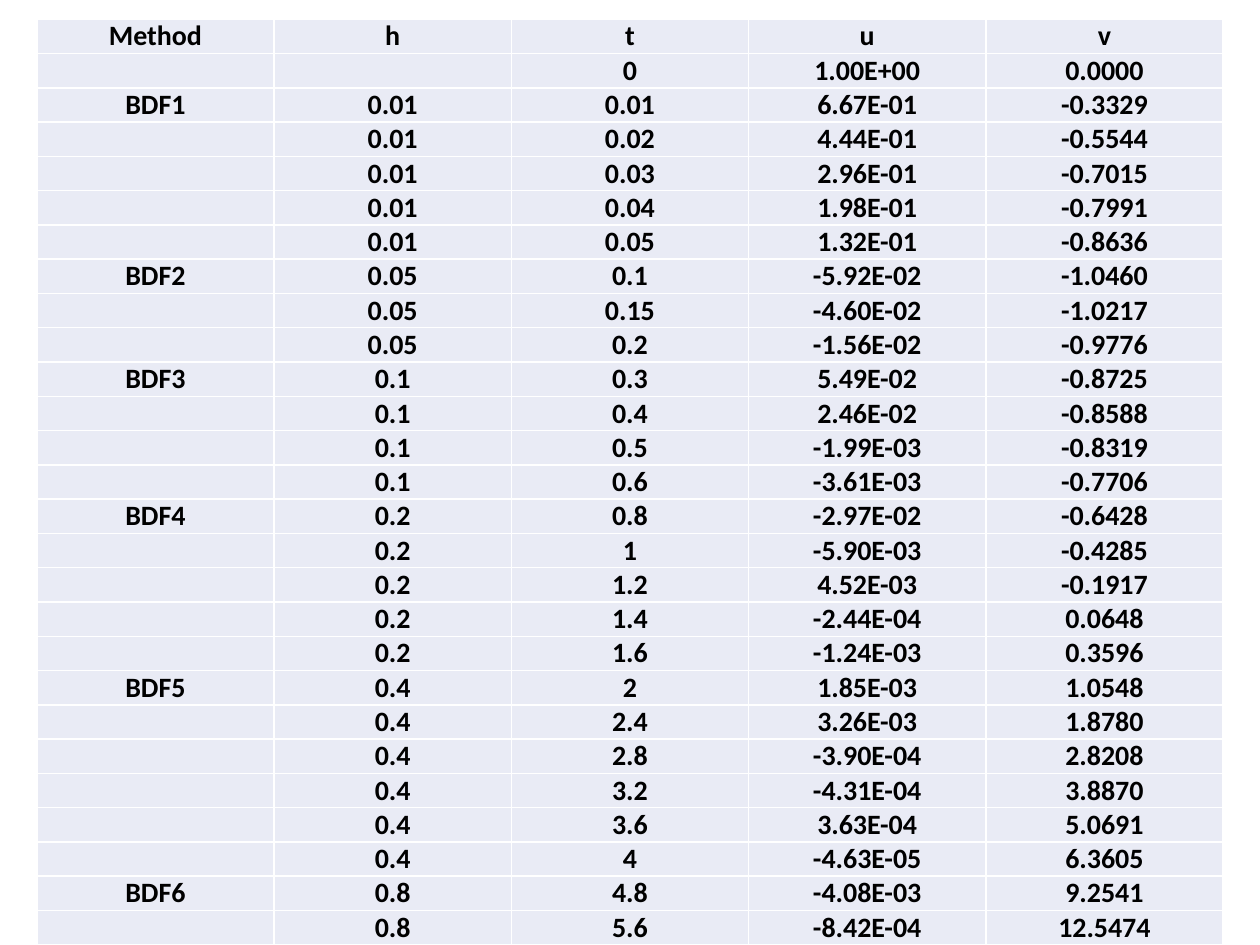
from lxml import etree
from pptx import Presentation
from pptx.dml.color import RGBColor
from pptx.enum import text
from pptx.oxml import ns
from pptx.util import Pt

BLACK = RGBColor(0x00, 0x00, 0x00)
WHITE = RGBColor(0xFF, 0xFF, 0xFF)
PALE_BLUE = RGBColor(0xE9, 0xEB, 0xF5)
FONT_SIZE = 16
BORDER_WIDTH = 1

HEADINGS = ("Method", "h", "t", "u", "v")
START = ("", "", "0", "1.00E+00", "0.0000")
METHODS = (
    ("BDF1", "0.01", (
        ("0.01", "6.67E-01", "-0.3329"),
        ("0.02", "4.44E-01", "-0.5544"),
        ("0.03", "2.96E-01", "-0.7015"),
        ("0.04", "1.98E-01", "-0.7991"),
        ("0.05", "1.32E-01", "-0.8636"),
    )),
    ("BDF2", "0.05", (
        ("0.1", "-5.92E-02", "-1.0460"),
        ("0.15", "-4.60E-02", "-1.0217"),
        ("0.2", "-1.56E-02", "-0.9776"),
    )),
    ("BDF3", "0.1", (
        ("0.3", "5.49E-02", "-0.8725"),
        ("0.4", "2.46E-02", "-0.8588"),
        ("0.5", "-1.99E-03", "-0.8319"),
        ("0.6", "-3.61E-03", "-0.7706"),
    )),
    ("BDF4", "0.2", (
        ("0.8", "-2.97E-02", "-0.6428"),
        ("1", "-5.90E-03", "-0.4285"),
        ("1.2", "4.52E-03", "-0.1917"),
        ("1.4", "-2.44E-04", "0.0648"),
        ("1.6", "-1.24E-03", "0.3596"),
    )),
    ("BDF5", "0.4", (
        ("2", "1.85E-03", "1.0548"),
        ("2.4", "3.26E-03", "1.8780"),
        ("2.8", "-3.90E-04", "2.8208"),
        ("3.2", "-4.31E-04", "3.8870"),
        ("3.6", "3.63E-04", "5.0691"),
        ("4", "-4.63E-05", "6.3605"),
    )),
    ("BDF6", "0.8", (
        ("4.8", "-4.08E-03", "9.2541"),
        ("5.6", "-8.42E-04", "12.5474"),
    )),
)


def result_rows():
    rows = [HEADINGS, START]
    for method, step, results in METHODS:
        for index, result in enumerate(results):
            rows.append((method if index == 0 else "", step, *result))
    return rows


def add_borders(cell):
    properties = cell._tc.get_or_add_tcPr()
    for index, side in enumerate(("lnL", "lnR", "lnT", "lnB")):
        line = etree.Element(ns.qn(f"a:{side}"), w=str(Pt(BORDER_WIDTH)))
        fill = etree.SubElement(line, ns.qn("a:solidFill"))
        etree.SubElement(fill, ns.qn("a:srgbClr"), val=str(WHITE))
        properties.insert(index, line)


def fill_cell(cell, words):
    cell.fill.solid()
    cell.fill.fore_color.rgb = PALE_BLUE
    cell.vertical_anchor = text.MSO_ANCHOR.BOTTOM
    cell.margin_left = cell.margin_right = Pt(0)
    cell.margin_top = cell.margin_bottom = Pt(0)
    add_borders(cell)
    para = cell.text_frame.paragraphs[0]
    para.alignment = text.PP_ALIGN.CENTER
    para.font.name = "Calibri"
    para.font.size = Pt(FONT_SIZE)
    para.font.bold = True
    para.font.color.rgb = BLACK
    if words:
        para.add_run().text = words
    else:
        etree.SubElement(para._p, ns.qn("a:endParaRPr"), sz=str(FONT_SIZE * 100))


def add_results_table(page, left, top, width, height):
    rows = result_rows()
    frame = page.shapes.add_table(
        len(rows), len(HEADINGS), Pt(left), Pt(top), Pt(width), Pt(height))
    table = frame.table
    table.first_row = False
    table.horz_banding = False
    for column in table.columns:
        column.width = Pt(width / len(HEADINGS))
    for row, values in zip(table.rows, rows):
        row.height = Pt(height / len(rows))
        for cell, words in zip(row.cells, values):
            fill_cell(cell, words)


def main():
    deck = Presentation()
    deck.slide_width, deck.slide_height = Pt(720), Pt(540)
    page = deck.slides.add_slide(deck.slide_layouts[6])
    add_results_table(page, left=21, top=11, width=678, height=518.4)
    deck.save("out.pptx")


if __name__ == "__main__":
    main()
